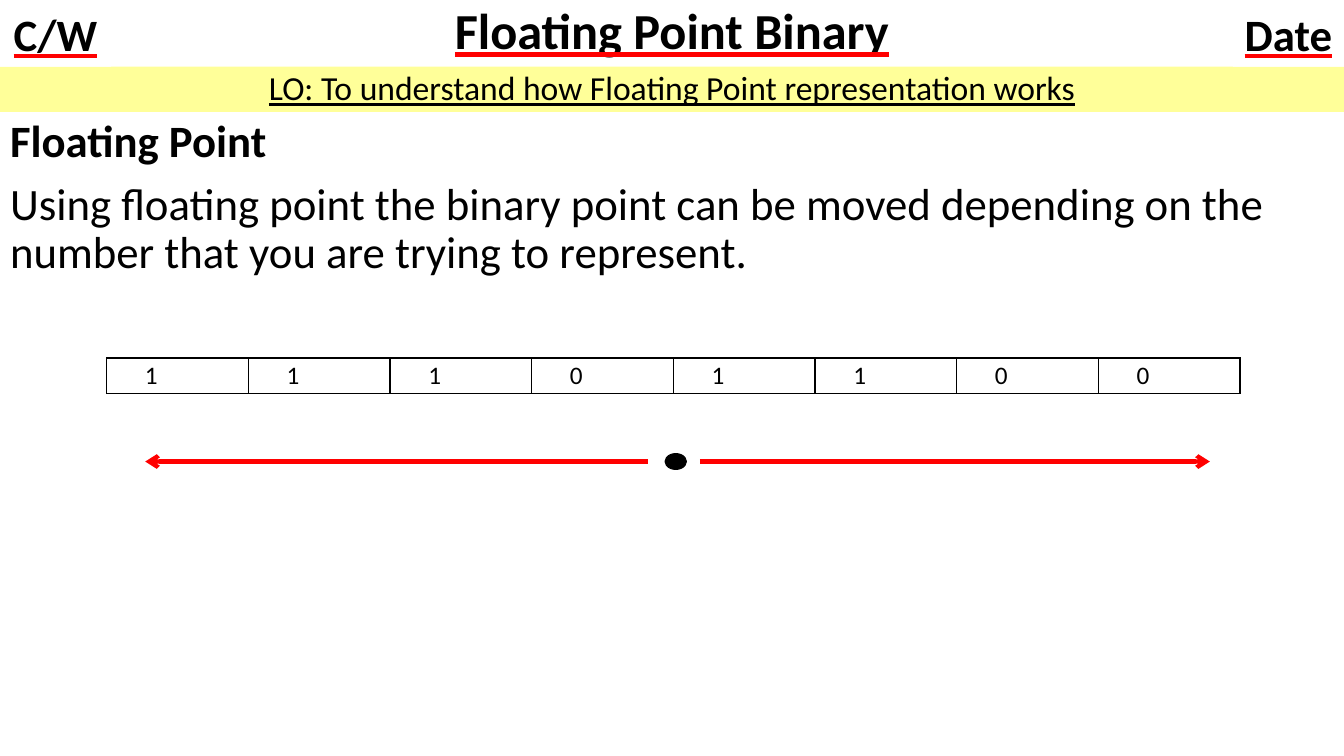
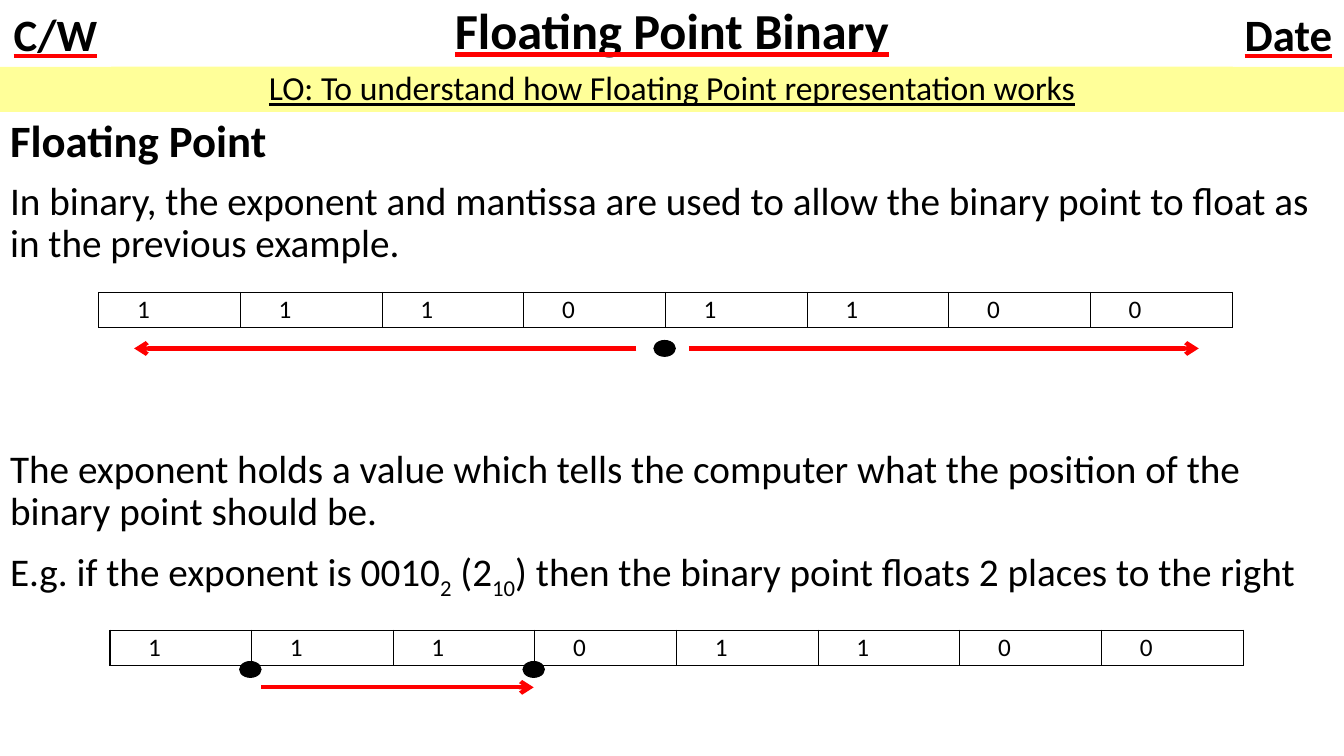
"""Build two lesson slides on floating point binary."""
from pptx import Presentation
from pptx.dml.color import RGBColor
from pptx.enum.shapes import MSO_CONNECTOR, MSO_SHAPE
from pptx.enum.text import MSO_ANCHOR, MSO_AUTO_SIZE, PP_ALIGN
from pptx.oxml import parse_xml
from pptx.oxml.ns import nsdecls, qn
from pptx.oxml.xmlchemy import OxmlElement
from pptx.util import Cm, Pt

BLACK = RGBColor(0x00, 0x00, 0x00)
WHITE = RGBColor(0xFF, 0xFF, 0xFF)
RED = RGBColor(0xFF, 0x00, 0x00)
YELLOW = RGBColor(0xFF, 0xFF, 0x99)

RECTANGLE, ELLIPSE = MSO_SHAPE.RECTANGLE, MSO_SHAPE.OVAL
STRAIGHT = MSO_CONNECTOR.STRAIGHT
CENTER, LEFT = PP_ALIGN.CENTER, PP_ALIGN.LEFT
MIDDLE, TOP = MSO_ANCHOR.MIDDLE, MSO_ANCHOR.TOP
NO_AUTOFIT = MSO_AUTO_SIZE.NONE

WIDTH, HEIGHT = 33.87, 19.05
TWO_CONTENT = 3
TAG_WIDTH = 2.8
BIT_WIDTH, BIT_HEIGHT = 3.57, 0.89
DOT_WIDTH, DOT_HEIGHT = 0.54, 0.4

TAG = {"size": Pt(32), "bold": True, "underline": True}
TITLE = {"size": Pt(36), "bold": True, "underline": True}
OBJECTIVE = {"size": Pt(24), "bold": False, "underline": True}
HEADING = {"size": Pt(32), "bold": True}
LARGE = {"size": Pt(32), "bold": False}
MEDIUM = {"size": Pt(28), "bold": False}
BIT = {"size": Pt(18), "bold": False}

BITS = "11101100"


class Lesson:
    """Holds the lesson style and the slide being built."""

    def __init__(self):
        self.deck = Presentation()
        self.deck.slide_width, self.deck.slide_height = Cm(WIDTH), Cm(HEIGHT)
        self.slide = None

    @staticmethod
    def apply(target, values):
        """Set each named value on the target."""
        for name, value in values.items():
            setattr(target, name, value)

    def place(self, shape, left, top, width, height):
        """Move and size a shape in centimetres."""
        self.apply(shape, {"left": Cm(left), "top": Cm(top),
                           "width": Cm(width), "height": Cm(height)})

    def run(self, paragraph, text, style, baseline=0, underline_color=None):
        """Add a styled run to a paragraph."""
        run = paragraph.add_run()
        run.text = text
        run.font.color.rgb = BLACK
        self.apply(run.font, {"name": "Calibri", **style})
        properties = run._r.get_or_add_rPr()
        if baseline:
            properties.set("baseline", str(baseline * 1000))
        if underline_color is not None:
            properties.find(qn("a:latin")).addprevious(parse_xml(
                f'<a:uFill {nsdecls("a")}><a:solidFill>'
                f'<a:srgbClr val="{underline_color}"/>'
                '</a:solidFill></a:uFill>'))

    def paragraph(self, frame, parts, style, align=LEFT, before=10):
        """Write unbulleted text in the first empty or a new paragraph."""
        first = frame.paragraphs[0]
        paragraph = frame.add_paragraph() if first.runs else first
        self.apply(paragraph, {"alignment": align, "line_spacing": 0.9,
                               "space_before": Pt(before), "space_after": Pt(0)})
        properties = paragraph._p.get_or_add_pPr()
        properties.set("marL", "0")
        properties.set("indent", "0")
        properties.append(OxmlElement("a:buNone"))
        for text, baseline in parts:
            self.run(paragraph, text, style, baseline)

    def shape(self, kind, fill, left, top, width, height):
        """Add a flat filled shape without an outline."""
        shape = self.slide.shapes.add_shape(
            kind, Cm(left), Cm(top), Cm(width), Cm(height))
        shape.shadow.inherit = False
        shape.fill.solid()
        shape.fill.fore_color.rgb = fill
        shape.line.fill.background()
        return shape

    def tag(self, text, left):
        """Add a corner label with a red underline."""
        tag = self.shape(RECTANGLE, WHITE, left, 0.03, TAG_WIDTH, 1.65)
        frame = tag.text_frame
        self.apply(frame, {"margin_left": 0, "margin_right": 0,
                           "vertical_anchor": MIDDLE, "word_wrap": False})
        frame.paragraphs[0].alignment = CENTER
        self.run(frame.paragraphs[0], text, TAG, underline_color=RED)

    def start(self, title, objective, paragraphs):
        """Begin a slide with its header, objective band and body text."""
        self.slide = self.deck.slides.add_slide(
            self.deck.slide_layouts[TWO_CONTENT])
        heading, body, band = self.slide.placeholders
        self.place(heading, 0, 0, WIDTH, 1.68)
        self.place(body, 0, 2.87, WIDTH, 16.18)
        self.place(band, 0, 1.68, WIDTH, 1.14)
        for holder, anchor in ((heading, MIDDLE), (body, TOP), (band, TOP)):
            self.apply(holder.text_frame, {
                "word_wrap": True, "auto_size": NO_AUTOFIT,
                "vertical_anchor": anchor})
        title_line = heading.text_frame.paragraphs[0]
        self.apply(title_line, {"alignment": CENTER, "line_spacing": 0.9})
        self.run(title_line, title, TITLE, underline_color=RED)
        band.fill.solid()
        band.fill.fore_color.rgb = YELLOW
        self.paragraph(band.text_frame, [(objective, 0)], OBJECTIVE, CENTER)
        for parts, style, before in paragraphs:
            self.paragraph(body.text_frame, parts, style, before=before)
        self.tag("C/W", 0)
        self.tag("Date", WIDTH - TAG_WIDTH)

    def border(self, cell):
        """Draw a thin black line on every side of a cell."""
        properties = cell._tc.get_or_add_tcPr()
        for side in ("lnL", "lnR", "lnT", "lnB"):
            properties.append(parse_xml(
                f'<a:{side} {nsdecls("a")} w="{Pt(1)}"><a:solidFill>'
                f'<a:srgbClr val="{BLACK}"/></a:solidFill></a:{side}>'))

    def register(self, left, top):
        """Add a one-row table of bits."""
        table = self.slide.shapes.add_table(
            1, len(BITS), Cm(left), Cm(top),
            Cm(BIT_WIDTH * len(BITS)), Cm(BIT_HEIGHT)).table
        self.apply(table, {"first_row": False, "horz_banding": False})
        for column, bit in enumerate(BITS):
            table.columns[column].width = Cm(BIT_WIDTH)
            cell = table.cell(0, column)
            self.apply(cell, {"margin_left": Cm(0.25), "margin_right": Cm(1.57),
                              "margin_top": 0, "margin_bottom": 0,
                              "vertical_anchor": MIDDLE})
            self.border(cell)
            cell.fill.background()
            line = cell.text_frame.paragraphs[0]
            self.apply(line, {"alignment": CENTER, "space_before": Pt(1.4)})
            self.run(line, bit, BIT)

    def point(self, x, y):
        """Add a binary point centred on a position."""
        dot = self.shape(ELLIPSE, BLACK, x - DOT_WIDTH / 2, y - DOT_HEIGHT / 2,
                         DOT_WIDTH, DOT_HEIGHT)
        dot.line.color.rgb = BLACK
        dot.line.width = Pt(0.75)

    def arrow(self, start, end, y):
        """Add a level red arrow."""
        arrow = self.slide.shapes.add_connector(
            STRAIGHT, Cm(start), Cm(y), Cm(end), Cm(y))
        arrow.line.color.rgb = RED
        arrow.line.width = Pt(3)
        head = OxmlElement("a:tailEnd")
        head.set("type", "arrow")
        arrow.get_or_add_ln().append(head)
        arrow._element.spPr.append(OxmlElement("a:effectLst"))

    def floating_point(self, x, y):
        """Add a binary point with arrows leading both ways."""
        self.point(x, y)
        self.arrow(x - 0.71, x - 13.37, y)
        self.arrow(x + 0.61, x + 13.46, y)

    def moved_point(self, left, top, start, places):
        """Show the point floating right below a register."""
        y = top + BIT_HEIGHT + 0.1
        before = left + start * BIT_WIDTH - 0.03
        after = before + places * BIT_WIDTH
        self.point(before, y)
        self.arrow(before + 0.27, after, y + 0.45)
        self.point(after, y)


def main():
    """Build and save the lesson."""
    title = "Floating Point Binary"
    objective = "LO: To understand how Floating Point representation works"
    heading = ([("Floating Point", 0)], HEADING, 10)
    lesson = Lesson()

    lesson.start(title, objective, [
        heading,
        ([("Using floating point the binary point can be moved depending on "
           "the number that you are trying to represent.", 0)], LARGE, 10),
    ])
    lesson.register(2.69, 9.02)
    lesson.floating_point(17.03, 11.63)

    lesson.start(title, objective, [
        heading,
        ([("In binary, the exponent and mantissa are used to allow the binary "
           "point to float as in the previous example.", 0)], MEDIUM, 10),
        ([("The exponent holds a value which tells the computer what the "
           "position of the binary point should be.", 0)], MEDIUM, 131),
        ([("E.g. if the exponent is 0010", 0), ("2", -25), (" (2", 0),
          ("10", -25),
          (") then the binary point floats 2 places to the right", 0)],
         MEDIUM, 10),
    ])
    lesson.register(2.49, 7.37)
    lesson.floating_point(16.75, 8.78)
    example = (2.77, 15.88)
    lesson.register(*example)
    lesson.moved_point(*example, start=1, places=2)

    lesson.deck.save("out.pptx")


if __name__ == "__main__":
    main()
